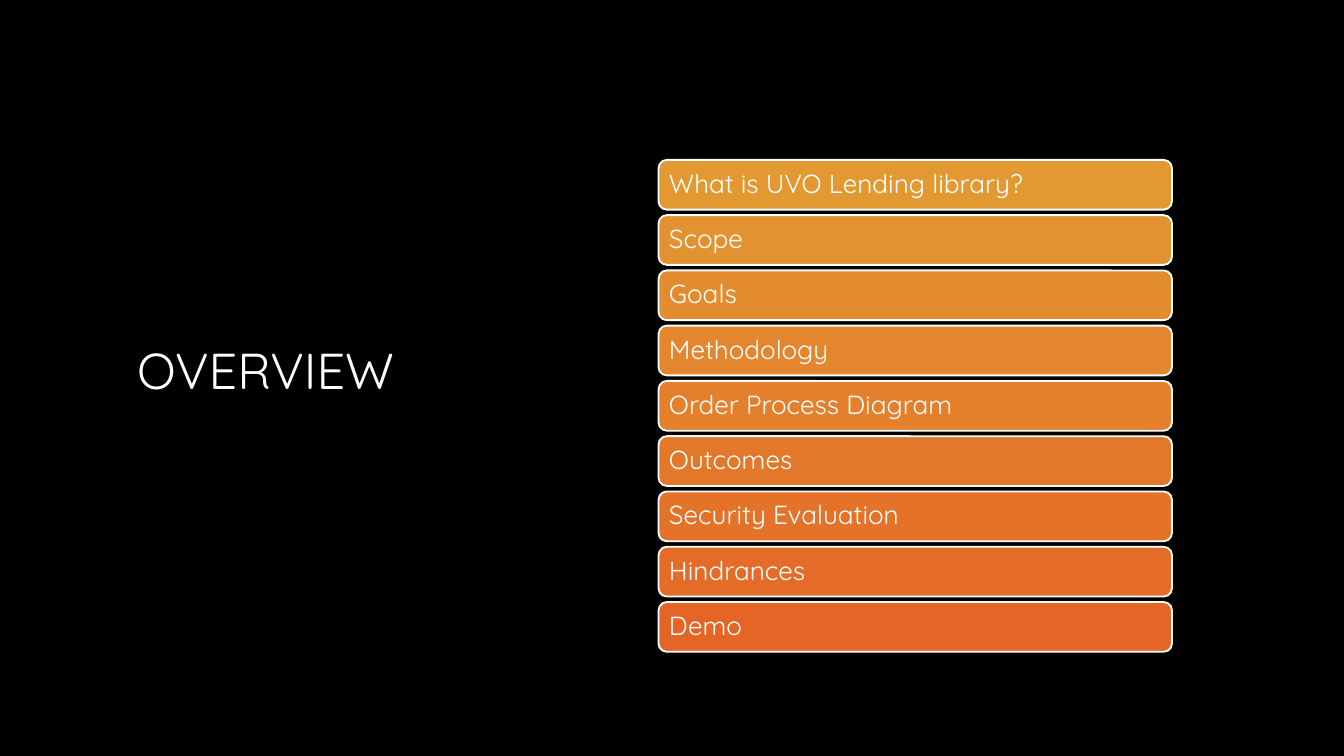
from pptx import Presentation
from pptx.dml.color import RGBColor
from pptx.enum.shapes import MSO_SHAPE
from pptx.enum.text import MSO_ANCHOR, PP_ALIGN
from pptx.util import Inches, Pt

ROUND = MSO_SHAPE.ROUNDED_RECTANGLE
TOP, MIDDLE = MSO_ANCHOR.TOP, MSO_ANCHOR.MIDDLE
LEFT = PP_ALIGN.LEFT

TITLE = "OVERVIEW"
TOPICS = [
    "What is UVO Lending library?",
    "Scope",
    "Goals",
    "Methodology",
    "Order Process Diagram",
    "Outcomes",
    "Security Evaluation",
    "Hindrances",
    "Demo",
]
FONT = "Quicksand"
WHITE, BLACK = "FFFFFF", "000000"
FIRST, LAST = "E29932", "E56526"
BAR_X, BAR_Y, BAR_W, BAR_H = 4.9, 1.19, 3.82, 0.37
END_Y = 4.48


def paint(fill, color):
    fill.solid()
    fill.fore_color.rgb = RGBColor.from_string(color)


def blend(part):
    pairs = zip(bytes.fromhex(FIRST), bytes.fromhex(LAST))
    return "".join(f"{round(a + (b - a) * part):02X}" for a, b in pairs)


def write(shape, text, size, inset, anchor):
    frame = shape.text_frame
    frame.text = text
    frame.word_wrap = True
    frame.vertical_anchor = anchor
    frame.margin_left = frame.margin_right = Inches(inset)
    frame.margin_top = frame.margin_bottom = Inches(inset)
    line = frame.paragraphs[0]
    line.alignment = LEFT
    line.line_spacing = 0.9
    line.font.name = FONT
    line.font.size = Pt(size)
    paint(line.font.fill, WHITE)


deck = Presentation()
deck.slide_width = Inches(10)
deck.slide_height = deck.slide_width * 9 // 16
slide = deck.slides.add_slide(deck.slide_layouts[5])
paint(slide.background.fill, BLACK)

title = slide.shapes.title
title.left, title.top = Inches(0.92), Inches(2.47)
title.width, title.height = Inches(3.25), Inches(0.63)
write(title, TITLE, 27, 0.1, TOP)

for i, topic in enumerate(TOPICS):
    part = i / (len(TOPICS) - 1)
    top = BAR_Y + (END_Y - BAR_Y) * part
    bar = slide.shapes.add_shape(
        ROUND, Inches(BAR_X), Inches(top), Inches(BAR_W), Inches(BAR_H))
    bar.shadow.inherit = False
    paint(bar.fill, blend(part))
    paint(bar.line.fill, WHITE)
    bar.line.width = Pt(1)
    write(bar, topic, 14, 0.06, MIDDLE)

deck.save("out.pptx")
